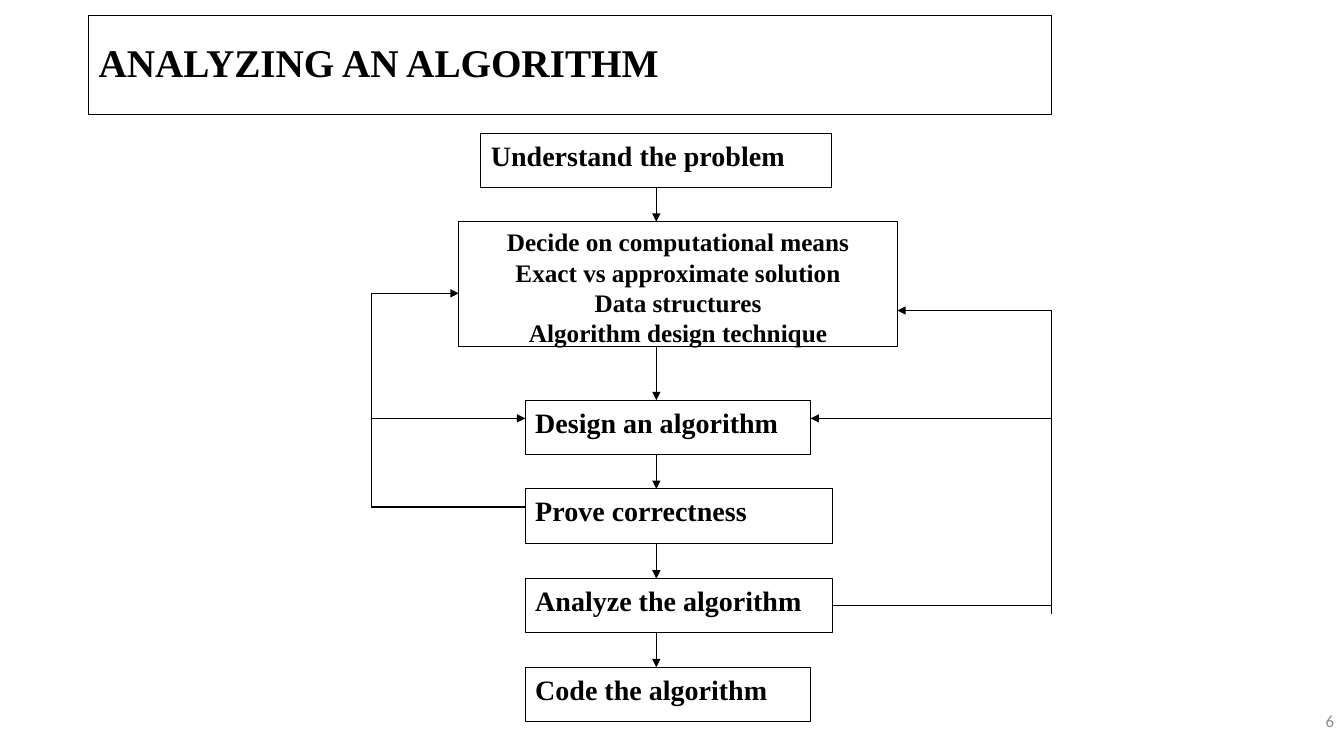
from dataclasses import dataclass

from lxml.etree import SubElement
from pptx import Presentation
from pptx.dml.color import RGBColor
from pptx.enum.shapes import MSO_CONNECTOR, MSO_SHAPE
from pptx.enum.text import MSO_ANCHOR, PP_ALIGN
from pptx.oxml.ns import qn
from pptx.shapes.autoshape import Shape
from pptx.shapes.connector import Connector
from pptx.slide import Slide
from pptx.text.text import TextFrame
from pptx.util import Emu, Pt

COLORS = {"ink": "000000", "paper": "FFFFFF", "number": "8C8C8C"}
SERIF = "Times New Roman"
LINE_WIDTH = Pt(0.75)
BOTTOM, RIGHT = 2, 3  # connection sites of a rectangle
STEP_HEIGHT = 54
SPINE_X, LEFT_LOOP_X, RIGHT_LOOP_X = 651, 368, 1043


@dataclass(frozen=True)
class Box:
    left: int
    top: int
    width: int
    height: int
    lines: tuple[str, ...]
    size: int = 20
    align: PP_ALIGN = PP_ALIGN.LEFT
    anchor: MSO_ANCHOR = MSO_ANCHOR.TOP
    spacing: float = 1.0
    font: str = SERIF
    bold: bool = True
    color: str = "ink"

    @property
    def right(self) -> int:
        return self.left + self.width

    @property
    def bottom(self) -> int:
        return self.top + self.height


@dataclass(frozen=True)
class Line:
    start: tuple[int, int]
    end: tuple[int, int]
    arrow: bool = False


def px(length: int) -> Emu:
    """One px is a hundredth of an inch."""
    return Emu(length * 9144)


def rgb(name: str) -> RGBColor:
    return RGBColor.from_string(COLORS[name])


def fill_text(frame: TextFrame, box: Box) -> None:
    frame.word_wrap = True
    frame.vertical_anchor = box.anchor
    for index, line in enumerate(box.lines):
        paragraph = frame.add_paragraph() if index else frame.paragraphs[0]
        paragraph.text = line
        paragraph.alignment = box.align
        paragraph.line_spacing = box.spacing
        paragraph.font.name = box.font
        paragraph.font.size = Pt(box.size)
        paragraph.font.bold = box.bold
        paragraph.font.color.rgb = rgb(box.color)


def draw_box(slide: Slide, box: Box) -> Shape:
    shape = slide.shapes.add_shape(
        MSO_SHAPE.RECTANGLE, px(box.left), px(box.top), px(box.width), px(box.height))
    shape.shadow.inherit = False
    shape.fill.solid()
    shape.fill.fore_color.rgb = rgb("paper")
    shape.line.color.rgb = rgb("ink")
    shape.line.width = LINE_WIDTH
    fill_text(shape.text_frame, box)
    return shape


def draw_line(slide: Slide, line: Line) -> Connector:
    connector = slide.shapes.add_connector(
        MSO_CONNECTOR.STRAIGHT, *map(px, line.start + line.end))
    connector.line.color.rgb = rgb("ink")
    connector.line.width = LINE_WIDTH
    if line.arrow:
        SubElement(connector.line._get_or_add_ln(), qn("a:tailEnd"), type="triangle")
    SubElement(connector._element.spPr, qn("a:effectLst"))
    return connector


TITLE = Box(88, 15, 955, 99, ("ANALYZING AN ALGORITHM",), size=28,
            anchor=MSO_ANCHOR.MIDDLE, spacing=0.9)
NUMBER = Box(1033, 695, 300, 40, ("6",), size=12, align=PP_ALIGN.RIGHT,
             anchor=MSO_ANCHOR.MIDDLE, font="Calibri", bold=False, color="number")

UNDERSTAND = Box(477, 132, 348, STEP_HEIGHT, ("Understand the problem",))
DECIDE = Box(455, 220, 435, 124, (
    "Decide on computational means",
    "Exact vs approximate solution",
    "Data structures",
    "Algorithm design technique",
), size=18, align=PP_ALIGN.CENTER)
DESIGN = Box(521, 397, 283, STEP_HEIGHT, ("Design an algorithm",))
PROVE = Box(521, 485, 305, STEP_HEIGHT, ("Prove correctness",))
ANALYZE = Box(521, 574, 305, STEP_HEIGHT, ("Analyze the algorithm",))
CODE = Box(521, 662, 283, STEP_HEIGHT, ("Code the algorithm",))
STEPS = (UNDERSTAND, DECIDE, DESIGN, PROVE, ANALYZE, CODE)

ANALYZE_EXIT = Line((ANALYZE.right, 601), (RIGHT_LOOP_X, 601))
LOOPS = (
    # From analysis back up the right side
    Line((RIGHT_LOOP_X, 609), (RIGHT_LOOP_X, 308)),
    Line((RIGHT_LOOP_X, 308), (DECIDE.right, 308), arrow=True),
    Line((RIGHT_LOOP_X, 415), (DESIGN.right, 415), arrow=True),
    # From the proof back up the left side
    Line((PROVE.left, 503), (LEFT_LOOP_X, 503)),
    Line((LEFT_LOOP_X, 503), (LEFT_LOOP_X, 291)),
    Line((LEFT_LOOP_X, 291), (DECIDE.left, 291), arrow=True),
    Line((LEFT_LOOP_X, 415), (DESIGN.left, 415), arrow=True),
)


def main() -> None:
    presentation = Presentation()
    presentation.slide_width, presentation.slide_height = px(1333), px(750)
    slide = presentation.slides.add_slide(presentation.slide_layouts[6])

    # Title and slide number
    draw_box(slide, TITLE)
    number = slide.shapes.add_textbox(
        px(NUMBER.left), px(NUMBER.top), px(NUMBER.width), px(NUMBER.height))
    fill_text(number.text_frame, NUMBER)

    # Steps and the arrows between them
    shapes = {step: draw_box(slide, step) for step in STEPS}
    for upper, lower in zip(STEPS, STEPS[1:]):
        arrow = draw_line(slide, Line(
            (SPINE_X, upper.bottom), (SPINE_X, lower.top), arrow=True))
        if upper.left + upper.width // 2 == SPINE_X:
            arrow.begin_connect(shapes[upper], BOTTOM)

    # Feedback loops
    draw_line(slide, ANALYZE_EXIT).begin_connect(shapes[ANALYZE], RIGHT)
    for line in LOOPS:
        draw_line(slide, line)

    presentation.save("out.pptx")


if __name__ == "__main__":
    main()
